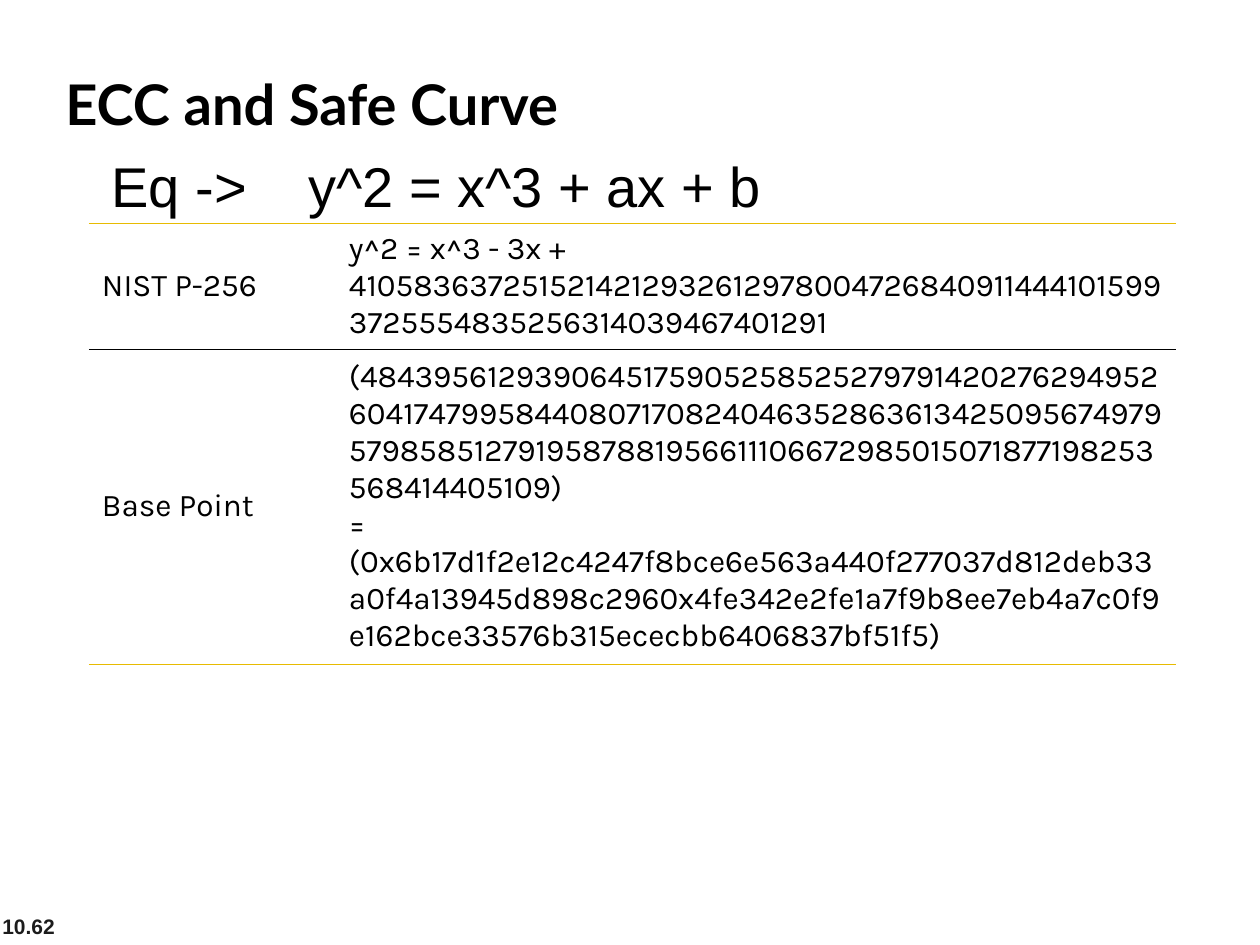
from dataclasses import dataclass
from lxml.etree import SubElement as Sub
from pptx import Presentation as Deck
from pptx.dml.color import RGBColor as Color
from pptx.enum.text import MSO_ANCHOR as Anchor, MSO_AUTO_SIZE as Auto
from pptx.oxml.ns import qn
from pptx.util import Pt


@dataclass(frozen=True)
class Theme:
    ink: str = "000000"
    grey: str = "1C1C1C"
    gold: str = "E7BB01"
    head: str = "Lato"
    body: str = "Karla"
    plain: str = "Arial"
    big: int = 32
    mid: int = 18
    small: int = 12
    rule: float = 0.45


LOOK = Theme()
ROWS = [
    ("NIST P-256",
     "y^2 = x^3 - 3x + "
     "41058363725152142129326129780047268409114441015993725554835256314039467401291"),
    ("Base Point",
     "(4843956129390645175905258525279791420276294952"
     "604174799584408071708240463528636134250956749795798585127919587881956611106672985015071877198253"
     "568414405109)\v"
     "= (0x6b17d1f2e12c4247f8bce6e563a440f277037d812deb33"
     "a0f4a13945d898c2960x4fe342e2fe1a7f9b8ee7eb4a7c0f9e162bce33576b315ececbb6406837bf51f5)"),
]


def px(n):
    return round(n * 914400 / 126)


def style(para, face, size, tint=LOOK.ink, bold=False):
    font = para.font
    font.name, font.size, font.bold = face, Pt(size), bold
    font.color.rgb = Color.from_string(tint)


def add_text(slide, area, text, face, size, tint=LOOK.ink, bold=False,
             anchor=Anchor.TOP, grow=True, tab=None):
    frame = slide.shapes.add_textbox(*map(px, area)).text_frame
    frame.word_wrap = True
    frame.vertical_anchor = anchor
    frame.auto_size = Auto.SHAPE_TO_FIT_TEXT if grow else Auto.NONE
    para = frame.paragraphs[0]
    para.text = text
    if tab:
        stops = Sub(para._p.get_or_add_pPr(), qn("a:tabLst"))
        Sub(stops, qn("a:tab"), pos=str(px(tab)), algn="l")
    style(para, face, size, tint, bold)


def add_edge(cell, side, tint=None):
    line = Sub(cell._tc.get_or_add_tcPr(), qn("a:ln" + side), w=str(Pt(LOOK.rule)))
    if tint:
        fill = Sub(line, qn("a:solidFill"))
        Sub(fill, qn("a:srgbClr"), val=tint)
    else:
        Sub(line, qn("a:noFill"))


def fill_cell(cell, text, top, base):
    for side, tint in zip("LRTB", (None, None, top, base)):
        add_edge(cell, side, tint)
    cell.fill.background()
    cell.vertical_anchor = Anchor.MIDDLE
    cell.margin_left = cell.margin_right = px(13)
    cell.margin_top = cell.margin_bottom = px(6)
    para = cell.text_frame.paragraphs[0]
    para.text = text
    style(para, LOOK.body, LOOK.mid)


def add_grid(slide, left, top, cols, rows):
    area = left, top, sum(cols), sum(rows)
    table = slide.shapes.add_table(len(rows), len(cols), *map(px, area)).table
    table.first_row = table.horz_banding = False
    for col, wide in zip(table.columns, cols):
        col.width = px(wide)
    edges = [LOOK.gold, LOOK.ink, LOOK.gold]
    for i, (row, high) in enumerate(zip(table.rows, rows)):
        row.height = px(high)
        for cell, text in zip(row.cells, ROWS[i]):
            fill_cell(cell, text, edges[i], edges[i + 1])


def main():
    deck = Deck()
    deck.slide_width, deck.slide_height = px(1260), px(945)
    slide = deck.slides.add_slide(deck.slide_layouts[6])
    add_text(slide, (-10, 882, 262, 63), "10.62", LOOK.plain, LOOK.small,
             LOOK.grey, True, Anchor.BOTTOM, False)
    add_text(slide, (53, 63, 924, 81), "ECC and Safe Curve", LOOK.head, LOOK.big, bold=True)
    add_text(slide, (99, 145, 889, 81), "Eq ->\ty^2 = x^3 + ax + b",
             LOOK.plain, LOOK.big, tab=197)
    add_grid(slide, 89, 223, (247, 840), (126, 315))
    deck.save("out.pptx")


if __name__ == "__main__":
    main()
